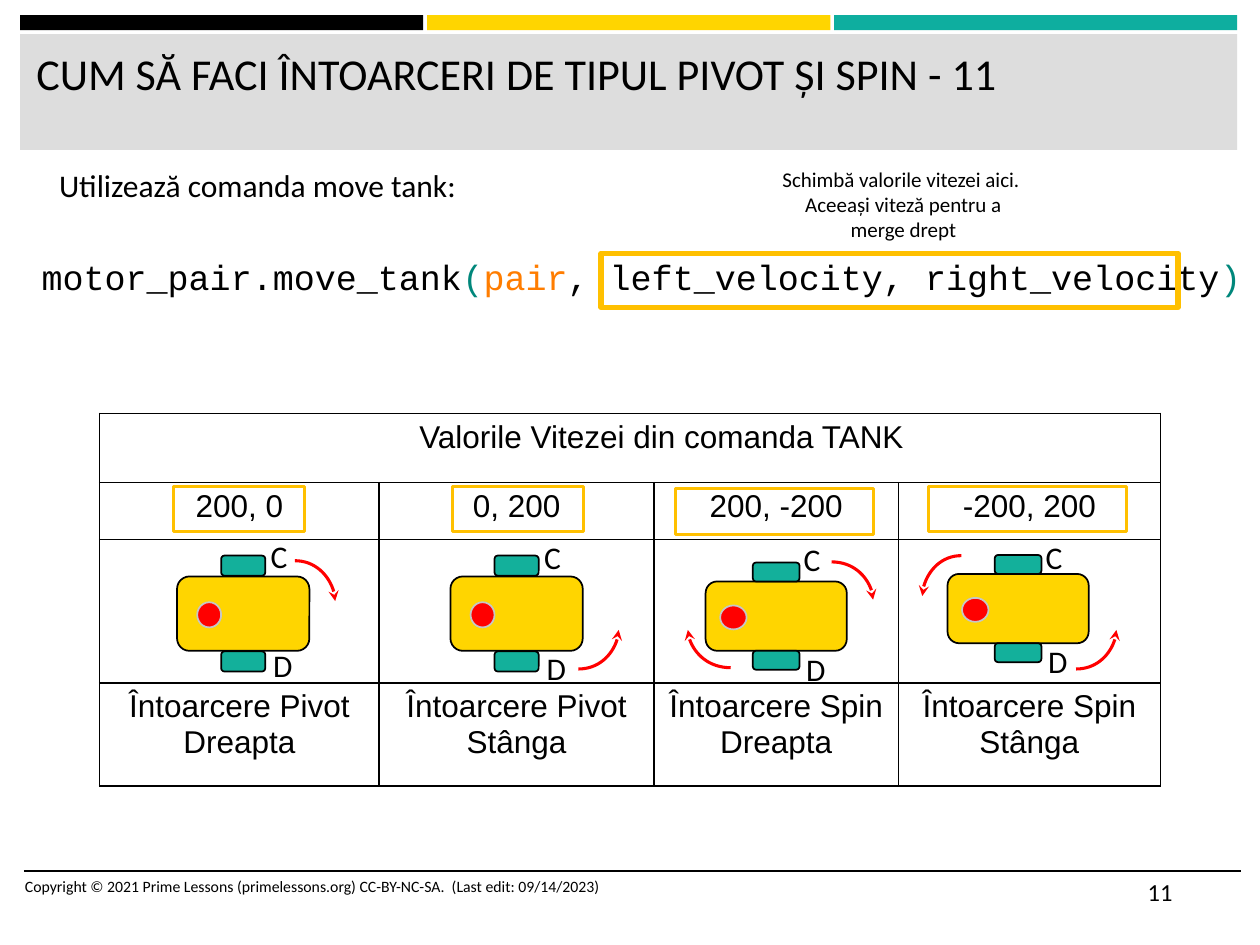
from lxml import etree
from pptx import Presentation
from pptx.dml.color import RGBColor
from pptx.enum.shapes import MSO_CONNECTOR, MSO_SHAPE
from pptx.enum.text import PP_ALIGN
from pptx.oxml.ns import qn
from pptx.util import Inches, Pt

RECTANGLE, ROUNDED, OVAL = MSO_SHAPE.RECTANGLE, MSO_SHAPE.ROUNDED_RECTANGLE, MSO_SHAPE.OVAL
STRAIGHT, CURVE = MSO_CONNECTOR.STRAIGHT, MSO_CONNECTOR.CURVE
LEFT, CENTER = PP_ALIGN.LEFT, PP_ALIGN.CENTER
BLACK, YELLOW, TEAL, RED, AMBER = "000000", "FFD500", "13B09B", "FF0000", "FFC000"
BRACKET = "00877B"


def color(value):
    return RGBColor.from_string(value)


def write(frame, text, size=18, font="Calibri", align=LEFT):
    """Fill a text frame; text is a string or a list of (string, colour) runs."""
    frame.word_wrap = True
    paragraph = frame.paragraphs[0]
    paragraph.alignment = align
    for words, run_color in [(text, BLACK)] if isinstance(text, str) else text:
        run = paragraph.add_run()
        run.text = words
        run.font.size = Pt(size)
        run.font.name = font
        run.font.color.rgb = color(run_color)
    return paragraph


def add_box(shapes, kind, box, fill=None, line=None, width=1, rotation=0):
    shape = shapes.add_shape(kind, *map(Inches, box))
    shape.shadow.inherit = False
    shape.rotation = rotation
    if fill:
        shape.fill.solid()
        shape.fill.fore_color.rgb = color(fill)
    else:
        shape.fill.background()
    if line:
        shape.line.color.rgb = color(line)
        shape.line.width = Pt(width)
    else:
        shape.line.fill.background()


presentation = Presentation()
presentation.slide_width, presentation.slide_height = Inches(10), Inches(7.5)
slide = presentation.slides.add_slide(presentation.slide_layouts[6])
shapes = slide.shapes

# Header band
for left, fill in [(0.16, BLACK), (3.39, YELLOW), (6.62, "0EAE9F")]:
    add_box(shapes, RECTANGLE, (left, 0.12, 3.2, 0.12), fill)
add_box(shapes, RECTANGLE, (0.16, 0.27, 9.66, 0.92), "DDDDDD")

# Title, explanation, command and footer
code = [("motor_pair.move_tank", BLACK), ("(", BRACKET), ("pair", "FF7D00"),
        (", left_velocity, right_velocity", BLACK), (")", BRACKET)]
for box, text, style in [
    ((0.19, 0.32, 9.57, 0.82), "CUM SĂ FACI ÎNTOARCERI DE TIPUL PIVOT ȘI SPIN - 11", {"size": 25.2}),
    ((0.37, 1.27, 4.28, 0.4), "Utilizează comanda move tank:", {}),
    ((6.08, 1.27, 2.18, 0.71),
     "Schimbă valorile vitezei aici.  Aceeași viteză pentru a merge drept",
     {"size": 12, "align": CENTER}),
    ((0.18, 1.98, 9.82, 0.44), code, {"size": 20, "font": "Courier New", "align": CENTER}),
    ((0.1, 6.91, 5.33, 0.4),
     "Copyright © 2021 Prime Lessons (primelessons.org) CC-BY-NC-SA.  (Last edit: 09/14/2023)",
     {"size": 9}),
    ((9.01, 6.91, 0.84, 0.4), "11", {"size": 14}),
]:
    write(shapes.add_textbox(*map(Inches, box)).text_frame, text, **style)

# Table of speeds
speeds = ["200, 0", "0, 200", "200, -200", "-200, 200"]
turns = ["Întoarcere Pivot Dreapta", "Întoarcere Pivot Stânga",
         "Întoarcere Spin Dreapta", "Întoarcere Spin Stânga"]
rows = [["Valorile Vitezei din comanda TANK", "", "", ""], speeds, [""] * 4, turns]
table = shapes.add_table(4, 4, Inches(0.79), Inches(3.28), Inches(8.42), Inches(2.96)).table
table.first_row = table.horz_banding = False
for column, width in zip(table.columns, [2.22, 2.18, 1.94, 2.08]):
    column.width = Inches(width)
for row, height in zip(table.rows, [0.55, 0.45, 1.14, 0.82]):
    row.height = Inches(height)
table.cell(0, 0).merge(table.cell(0, 3))
for row, texts in zip(table.rows, rows):
    for cell, text in zip(row.cells, texts):
        properties = cell._tc.get_or_add_tcPr()
        for side in ("a:lnL", "a:lnR", "a:lnT", "a:lnB"):
            border = etree.SubElement(properties, qn(side), w=str(Pt(1)))
            solid = etree.SubElement(border, qn("a:solidFill"))
            etree.SubElement(solid, qn("a:srgbClr"), val=BLACK)
        cell.fill.background()
        if text:
            write(cell.text_frame, text, font="Arial", align=CENTER)
heading = table.cell(0, 0).text_frame.paragraphs[0]
heading.level = 1
heading._p.get_or_add_pPr().set("marL", str(Inches(0.5)))
heading._p.get_or_add_pPr().set("indent", "0")

# Frames around the speeds
for box in [(1.38, 3.86, 1.04, 0.36), (3.59, 3.86, 1.04, 0.36),
            (5.36, 3.88, 1.57, 0.36), (7.37, 3.86, 1.57, 0.36)]:
    add_box(shapes, RECTANGLE, box, line=AMBER, width=1.75)
add_box(shapes, RECTANGLE, (4.77, 2.01, 4.58, 0.43), line=AMBER, width=3)

# Robots seen from above; sizes are given before the quarter turn
pivot = {"body": (0.59, 1.05), "wheel": (0.16, 0.35), "dot": (0.2, 0.19),
         "wheel_gap": 0.38, "dot_gap": 0.27, "label": 0.42}
spin = {"body": (0.55, 1.12), "wheel": (0.15, 0.37), "dot": (0.19, 0.21),
        "wheel_gap": 0.35, "dot_gap": 0.34, "label": 0.45}
for robot, x, y, top_c, top_d in [
    (pivot, 1.93, 4.87, 4.21, 5.08), (pivot, 4.1, 4.87, 4.22, 5.1),
    (spin, 6.16, 4.89, 4.24, 5.11), (spin, 8.08, 4.83, 4.22, 5.05),
]:
    group = shapes.add_group_shape().shapes
    for part, kind, dx, dy, fill, line in [
        ("body", ROUNDED, 0, 0, YELLOW, BLACK),
        ("wheel", ROUNDED, 0, robot["wheel_gap"], TEAL, BLACK),
        ("wheel", ROUNDED, 0, -robot["wheel_gap"], TEAL, BLACK),
        ("dot", OVAL, -robot["dot_gap"], 0.01, RED, "C6C6C6"),
    ]:
        width, height = robot[part]
        box = (x + dx - width / 2, y + dy - height / 2, width, height)
        add_box(group, kind, box, fill, line, rotation=90)
    for letter, dx, top in [("C", 0.12, top_c), ("D", 0.14, top_d)]:
        label = group.add_textbox(*map(Inches, (x + dx, top, robot["label"], 0.4)))
        write(label.text_frame, letter)

# Footer rule and turning arrows
for kind, ends, line, width in [
    (STRAIGHT, (0.19, 6.91, 9.85, 6.91), BLACK, 1),
    (CURVE, (2.34, 4.45, 2.66, 4.77), RED, 1.75),
    (CURVE, (4.59, 5.31, 4.91, 5), RED, 1.75),
    (CURVE, (6.6, 4.46, 6.93, 4.76), RED, 1.75),
    (CURVE, (5.8, 5.3, 5.46, 5), RED, 1.75),
    (CURVE, (7.63, 4.41, 7.32, 4.73), RED, 1.75),
    (CURVE, (8.54, 5.31, 8.86, 5), RED, 1.75),
]:
    connector = shapes.add_connector(kind, *map(Inches, ends))
    connector.line.color.rgb = color(line)
    connector.line.width = Pt(width)
    properties = connector._element.spPr
    etree.SubElement(properties, qn("a:effectLst"))
    if kind == CURVE:
        properties.find(qn("a:prstGeom")).set("prst", "curvedConnector2")
        etree.SubElement(properties.find(qn("a:ln")), qn("a:tailEnd"), type="stealth")

presentation.save("out.pptx")
